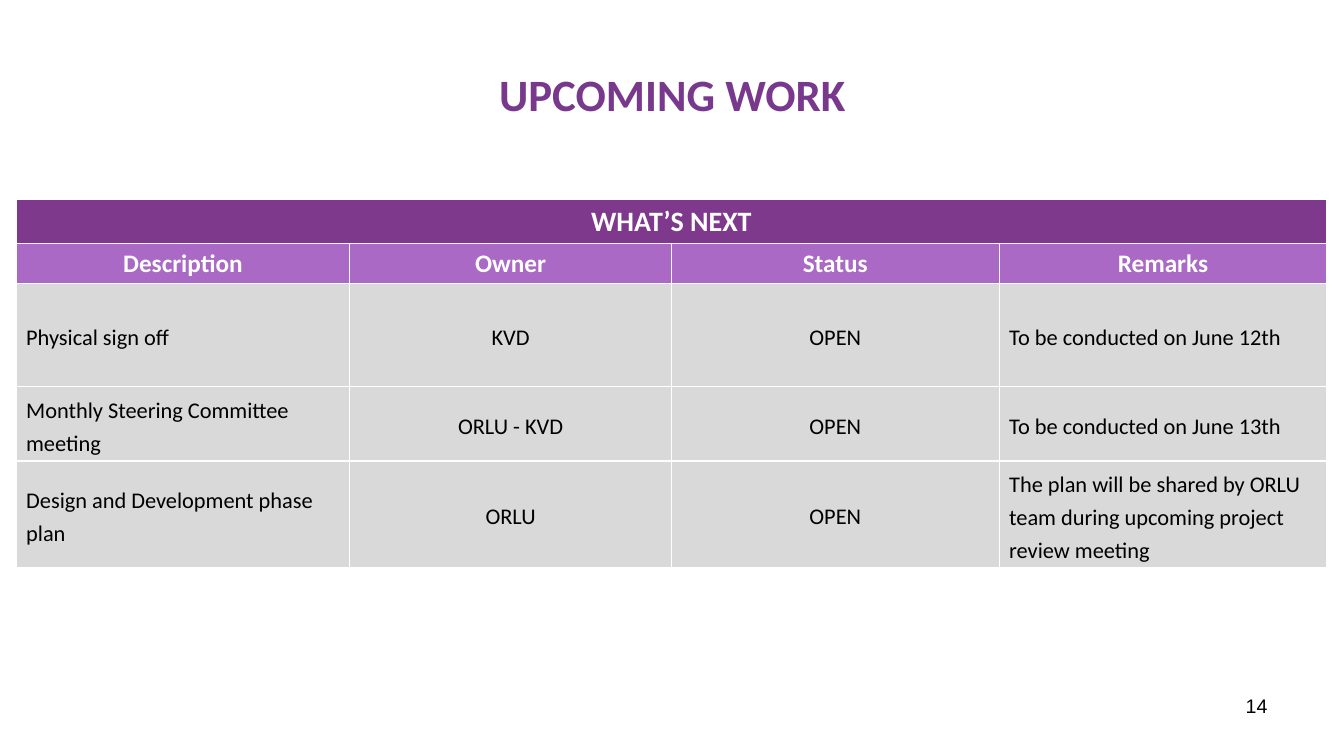
from lxml.etree import SubElement
from pptx import Presentation
from pptx.dml.color import RGBColor
from pptx.enum.text import MSO_ANCHOR as ANCHOR, PP_ALIGN as ALIGN
from pptx.oxml.ns import qn
from pptx.util import Inches, Pt

PURPLE, LILAC, GREY = "7F398C", "A969C4", "D9D9D9"
TITLE_PURPLE, WHITE, BLACK = "78398D", "FFFFFF", "000000"
COLUMN_WIDTHS = [3.31, 3.19, 3.25, 3.25]
ROW_HEIGHTS = [0.43, 0.4, 1.02, 0.67, 0.67]
HEADINGS = ["Description", "Owner", "Status", "Remarks"]
TASKS = [
    ["Physical sign off", "KVD", "OPEN", "To be conducted on June 12th"],
    ["Monthly Steering Committee meeting", "ORLU - KVD", "OPEN",
     "To be conducted on June 13th"],
    ["Design and Development phase plan", "ORLU", "OPEN",
     "The plan will be shared by ORLU team during upcoming project review meeting"],
]


def rgb(color):
    return RGBColor.from_string(color)


def write(tf, text, size, color, bold=False, align=ALIGN.CENTER, font="Calibri"):
    tf.word_wrap = True
    p = tf.paragraphs[0]
    r = p.add_run()
    r.text = text
    r.font.name = font
    p.alignment = align
    p.font.size = Pt(size)
    p.font.bold = bold
    p.font.color.rgb = rgb(color)
    return p


def add_text(slide, box, text, size, color, anchor=ANCHOR.TOP, **style):
    sp = slide.shapes.add_textbox(*map(Inches, box))
    sp.text_frame.vertical_anchor = anchor
    write(sp.text_frame, text, size, color, **style)


def paint_cell(cell, fill):
    tc_pr = cell._tc.get_or_add_tcPr()
    for side in ("a:lnL", "a:lnR", "a:lnT", "a:lnB"):
        line = SubElement(tc_pr, qn(side), w=str(Pt(1)))
        solid = SubElement(line, qn("a:solidFill"))
        SubElement(solid, qn("a:srgbClr"), val=WHITE)
    cell.fill.solid()
    cell.fill.fore_color.rgb = rgb(fill)


def add_work_table(slide, left, top):
    size = Inches(sum(COLUMN_WIDTHS)), Inches(sum(ROW_HEIGHTS))
    table = slide.shapes.add_table(
        len(ROW_HEIGHTS), len(COLUMN_WIDTHS), Inches(left), Inches(top), *size
    ).table
    for column, width in zip(table.columns, COLUMN_WIDTHS):
        column.width = Inches(width)
    for row, height in zip(table.rows, ROW_HEIGHTS):
        row.height = Inches(height)

    for row, fill in zip(table.rows, [PURPLE, LILAC] + [GREY] * len(TASKS)):
        for cell in row.cells:
            paint_cell(cell, fill)

    banner = table.cell(0, 0)
    banner.merge(table.cell(0, len(HEADINGS) - 1))
    write(banner.text_frame, "WHAT’S NEXT", 20, WHITE, bold=True)
    for c, heading in enumerate(HEADINGS):
        write(table.cell(1, c).text_frame, heading, 18, WHITE, bold=True)
    for r, task in enumerate(TASKS, 2):
        for c, text in enumerate(task):
            cell = table.cell(r, c)
            cell.vertical_anchor = ANCHOR.MIDDLE
            align = ALIGN.CENTER if HEADINGS[c] in ("Owner", "Status") else ALIGN.LEFT
            p = write(cell.text_frame, text, 16, BLACK, align=align)
            p.line_spacing = 1.2


def main():
    prs = Presentation()
    prs.slide_width, prs.slide_height = Inches(13.33), Inches(7.5)
    slide = prs.slides.add_slide(prs.slide_layouts[6])
    add_text(slide, (0.67, 0.3, 12, 1.25), "UPCOMING WORK", 32, TITLE_PURPLE,
             anchor=ANCHOR.MIDDLE, bold=True)
    add_text(slide, (9.56, 6.83, 3.11, 0.52), "14", 14, BLACK,
             align=ALIGN.RIGHT, font="Arial")
    add_work_table(slide, 0.16, 1.98)
    prs.save("out.pptx")


if __name__ == "__main__":
    main()
